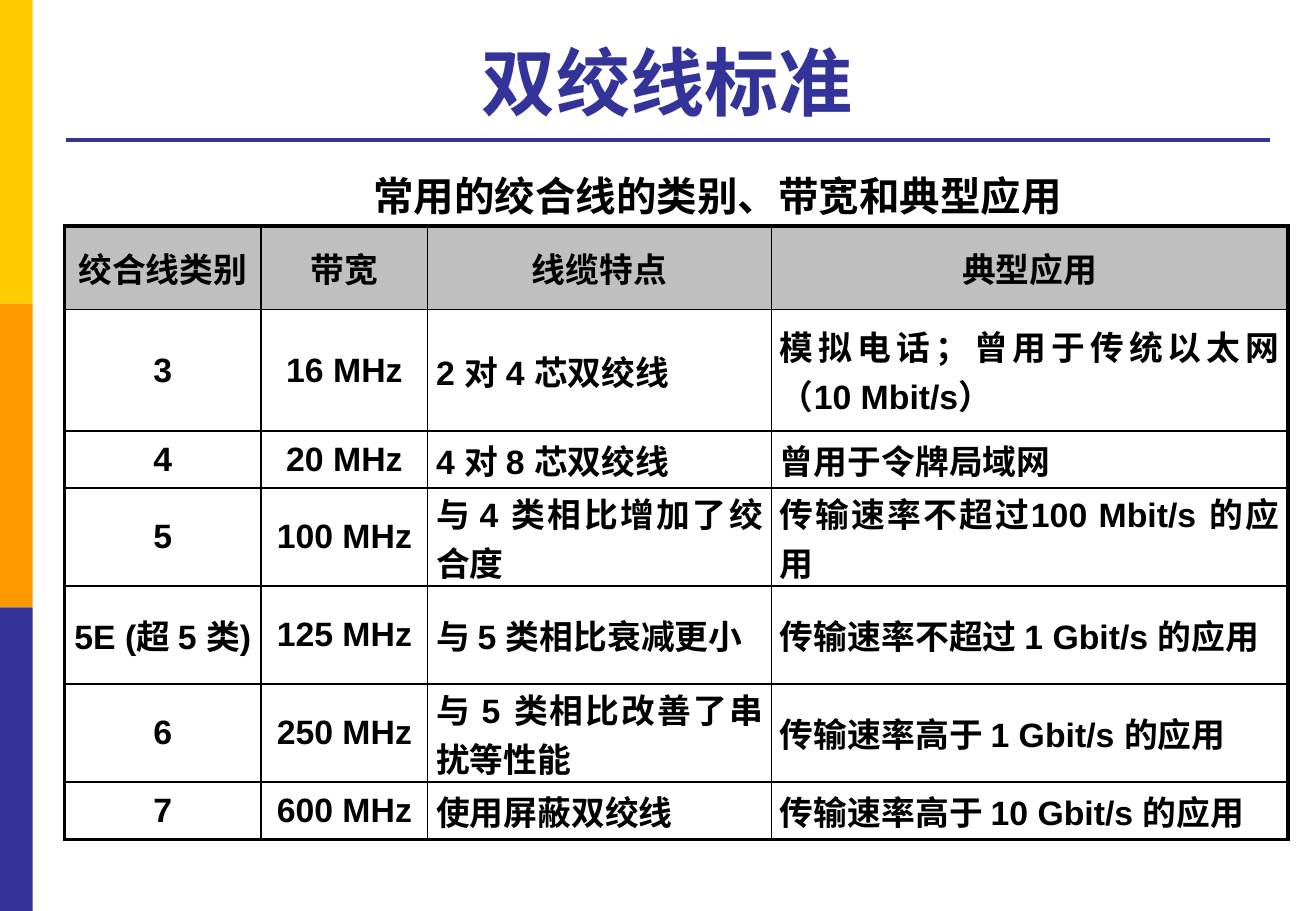
from pptx import Presentation
from pptx.dml.color import RGBColor
from pptx.enum import lang, shapes, text
from pptx.oxml import xmlchemy
from pptx.util import Inches, Pt

YELLOW = RGBColor(0xFF, 0xCC, 0x00)
ORANGE = RGBColor(0xFF, 0x99, 0x00)
INDIGO = RGBColor(0x33, 0x33, 0x99)
GRAY = RGBColor(0xBF, 0xBF, 0xBF)
BLACK = RGBColor(0x00, 0x00, 0x00)

COLUMN_WIDTHS = [1.62, 1.37, 2.83, 4.25]
ROW_HEIGHTS = [0.69, 1, 0.47, 0.69, 0.69, 0.69, 0.47]
BODY_SIZE = 20
MIXED_RUNS = [("与", 20), (" ", 12), ("4", 20), (" ", 18), ("类相比增加了绞合度", 20)]
STANDARDS = [
    ["绞合线类别", "带宽", "线缆特点", "典型应用"],
    ["3", "16 MHz", "2 对 4 芯双绞线", "模拟电话；曾用于传统以太网（10 Mbit/s）"],
    ["4", "20 MHz", "4 对 8 芯双绞线", "曾用于令牌局域网"],
    ["5", "100 MHz", MIXED_RUNS, "传输速率不超过100 Mbit/s 的应用"],
    ["5E (超 5 类)", "125 MHz", "与 5 类相比衰减更小", "传输速率不超过 1 Gbit/s 的应用"],
    ["6", "250 MHz", "与 5 类相比改善了串扰等性能", "传输速率高于 1 Gbit/s 的应用"],
    ["7", "600 MHz", "使用屏蔽双绞线", "传输速率高于 10 Gbit/s 的应用"],
]


def write_runs(text_frame, runs, color, alignment):
    paragraph = text_frame.paragraphs[0]
    paragraph.alignment = alignment
    for content, size in runs:
        run = paragraph.add_run()
        run.text = content
        run.font.name = "Arial"
        run.font.size = Pt(size)
        run.font.bold = True
        run.font.color.rgb = color
        run.font.language_id = lang.MSO_LANGUAGE_ID.SIMPLIFIED_CHINESE


def add_side_bands(slide, left, top, width, height):
    colors = [YELLOW, ORANGE, INDIGO]
    band_height = height / len(colors)
    for index, color in enumerate(colors):
        band = slide.shapes.add_shape(
            shapes.MSO_SHAPE.RECTANGLE, Inches(left), Inches(top + index * band_height),
            Inches(width), Inches(band_height))
        band.shadow.inherit = False
        band.fill.solid()
        band.fill.fore_color.rgb = color
        band.line.fill.background()


def add_title(slide, left, top, width, height):
    title = slide.shapes.title
    title.left, title.top = Inches(left), Inches(top)
    title.width, title.height = Inches(width), Inches(height)
    title.text_frame.vertical_anchor = text.MSO_ANCHOR.BOTTOM
    write_runs(title.text_frame, [("双绞线标准", 44)], INDIGO, text.PP_ALIGN.CENTER)
    rule_top = Inches(top + height + 0.07)
    rule = slide.shapes.add_connector(
        shapes.MSO_CONNECTOR.STRAIGHT, Inches(left), rule_top, Inches(left + width), rule_top)
    rule.line.color.rgb = INDIGO
    rule.line.width = Pt(2.25)
    rule._element.spPr.append(xmlchemy.OxmlElement("a:effectLst"))


def add_caption(slide, left, top, width, height):
    caption = slide.shapes.add_textbox(Inches(left), Inches(top), Inches(width), Inches(height))
    caption.text_frame.word_wrap = False
    caption.text_frame.auto_size = text.MSO_AUTO_SIZE.SHAPE_TO_FIT_TEXT
    write_runs(caption.text_frame, [("常用的绞合线的类别、带宽和典型应用", 24)],
               BLACK, text.PP_ALIGN.CENTER)


def add_border(cell, side, width):
    border = xmlchemy.OxmlElement(f"a:ln{side}")
    border.set("w", str(Pt(width)))
    fill = xmlchemy.OxmlElement("a:solidFill")
    color = xmlchemy.OxmlElement("a:srgbClr")
    color.set("val", str(BLACK))
    fill.append(color)
    border.append(fill)
    cell._tc.get_or_add_tcPr().append(border)


def format_cell(cell, row, column):
    cell.vertical_anchor = text.MSO_ANCHOR.MIDDLE
    cell.margin_left = cell.margin_right = Inches(0.07)
    cell.margin_top = cell.margin_bottom = 0
    outer_sides = {
        "L": column == 0,
        "R": column == len(COLUMN_WIDTHS) - 1,
        "T": row == 0,
        "B": row == len(ROW_HEIGHTS) - 1,
    }
    for side, is_outer in outer_sides.items():
        add_border(cell, side, 2.25 if is_outer else 1)
    if row == 0:
        cell.fill.solid()
        cell.fill.fore_color.rgb = GRAY
    else:
        cell.fill.background()


def add_standards_table(slide, left, top, width, height):
    table = slide.shapes.add_table(
        len(ROW_HEIGHTS), len(COLUMN_WIDTHS),
        Inches(left), Inches(top), Inches(width), Inches(height)).table
    table.first_row = table.horz_banding = False
    for column, column_width in zip(table.columns, COLUMN_WIDTHS):
        column.width = Inches(column_width)
    for row, row_height in zip(table.rows, ROW_HEIGHTS):
        row.height = Inches(row_height)
    for row, entries in enumerate(STANDARDS):
        for column, entry in enumerate(entries):
            cell = table.cell(row, column)
            format_cell(cell, row, column)
            centered = row == 0 or column < 2
            alignment = text.PP_ALIGN.CENTER if centered else text.PP_ALIGN.JUSTIFY
            runs = [(entry, BODY_SIZE)] if isinstance(entry, str) else entry
            write_runs(cell.text_frame, runs, BLACK, alignment)


def main():
    presentation = Presentation()
    presentation.slide_width = Inches(10.83)
    presentation.slide_height = Inches(7.5)
    slide = presentation.slides.add_slide(presentation.slide_layouts[5])
    add_side_bands(slide, 0, 0, 0.27, 7.5)
    add_title(slide, 0.54, 0.21, 9.91, 0.87)
    add_standards_table(slide, 0.53, 1.86, 10.08, 4.7)
    add_caption(slide, 2.93, 1.36, 5.95, 0.5)
    presentation.save("out.pptx")


if __name__ == "__main__":
    main()
